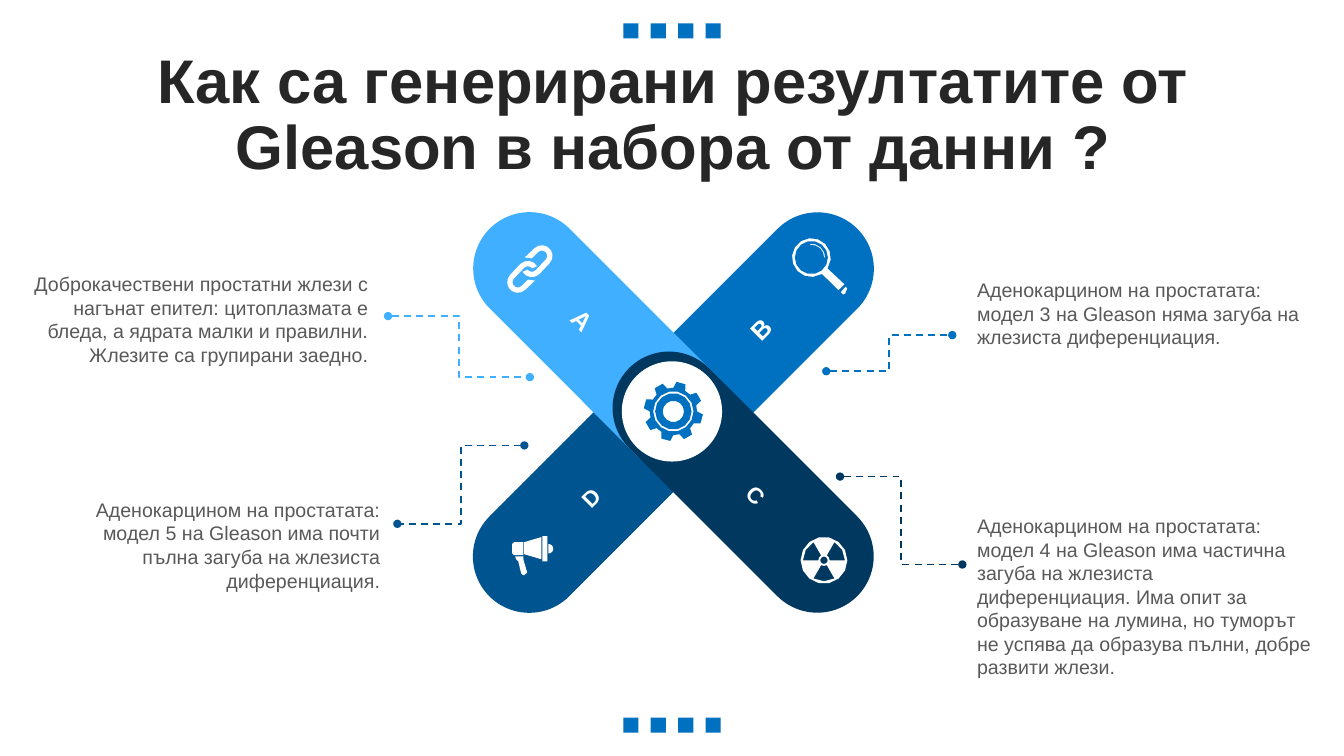
from dataclasses import dataclass
from math import cos, radians, sin

from lxml.etree import SubElement
from pptx import Presentation
from pptx.dml.color import RGBColor
from pptx.enum.dml import MSO_LINE
from pptx.enum.shapes import MSO_CONNECTOR, MSO_SHAPE as Shape
from pptx.enum.text import MSO_ANCHOR, MSO_AUTO_SIZE as Fit, PP_ALIGN as Align
from pptx.oxml.ns import qn
from pptx.util import Pt

Point = tuple[float, float]
Contour = list[Point]


@dataclass(frozen=True)
class Theme:
    font: str = "Arial"
    title: str = "262626"
    text: str = "595959"
    white: str = "FFFFFF"
    light: str = "40AFFF"
    blue: str = "0070C0"
    deep: str = "005490"
    navy: str = "003860"
    title_size: float = 44
    text_size: float = 14
    line_width: float = 1.25


@dataclass(frozen=True)
class Box:
    x: float
    y: float
    w: float
    h: float
    rot: float = 0


@dataclass(frozen=True)
class Arm:
    letter: str
    letter_size: float
    color: str
    bar: Box
    label: Box
    text: str
    text_box: Box
    align: Align
    start: Point
    end: Point


@dataclass(frozen=True)
class Icon:
    center: Point
    color: str
    contours: list[Contour]
    outline: str | None = None


T = Theme()
ARMS = [
    Arm("B", 18, T.blue, Box(493.2, 130.8, 80.6, 223.2, 45), Box(492.5, 220.3, 101.5, 28.8, 315),
        "Аденокарцином на простатата: модел 3 на Gleason няма загуба на жлезиста диференциация.",
        Box(690.8, 195.1, 253.4, 58.3), Align.LEFT, (590.2, 265.2), (680.2, 239.4)),
    Arm("D", 16, T.deep, Box(388.2, 235.4, 80.6, 223.2, 225), Box(378.7, 342, 86.4, 26.6, 315),
        "Аденокарцином на простатата: модел 5 на Gleason има почти пълна загуба на жлезиста "
        "диференциация.",
        Box(24.5, 352.1, 254.2, 74.9), Align.RIGHT, (374.6, 318.2), (283.9, 374.2)),
    Arm("A", 18, T.light, Box(391, 129.6, 80.6, 230.4, 315), Box(369.1, 213.8, 94.3, 28.8, 45),
        "Доброкачествени простатни жлези с нагънат епител: цитоплазмата е бледа, а ядрата малки "
        "и правилни. Жлезите са групирани заедно.",
        Box(16, 190.8, 254.2, 74.9), Align.RIGHT, (277.2, 225.8), (378.5, 269.4)),
    Arm("C", 16, T.navy, Box(490.5, 229.2, 80.6, 230.4, 135), Box(488.2, 340.6, 103.7, 26.6, 45),
        "Аденокарцином на простатата: модел 4 на Gleason има частична загуба на жлезиста "
        "диференциация. Има опит за образуване на лумина, но туморът не успява да образува "
        "пълни, добре развити жлези.",
        Box(690.8, 363.6, 253.4, 108.7), Align.LEFT, (600, 340.4), (687.4, 403.2)),
]


def arc(r: float, a0: float, a1: float, cx: float = 0, cy: float = 0) -> Contour:
    n = max(1, round(abs(a1 - a0) / 26))
    angles = [radians(a0 + (a1 - a0) * i / n) for i in range(n + 1)]
    return [(cx + r * cos(a), cy + r * sin(a)) for a in angles]


def circle(r: float) -> Contour:
    return arc(r, 0, 360)[:-1]


def gear() -> list[Contour]:
    rim: Contour = []
    for i in range(8):
        a = -75 + 45 * i
        rim += arc(16.9, a - 30, a - 15) + arc(21.2, a - 9, a + 9)
    return [rim] + [circle(r) for r in (14.4, 13, 7.6)]


def chain() -> list[Contour]:
    link = (arc(7.6, -135, 45, 8.6, -9.4) + arc(7.6, 45, 150, 1.4, -1.8) + [(-1.4, 0.4)]
            + arc(3.8, 135, 45, 1.4, -1.8) + arc(3.8, 45, -135, 8.6, -9.4)
            + [(1.4, -7.6), (-3.6, -8.3)])
    return [link, [(-x, -y) for x, y in link]]


def radiation() -> list[Contour]:
    blades = [arc(15, a, a + 60) + arc(4, a + 60, a) for a in (-60, 60, 180)]
    return [circle(16.7), circle(2.6)] + blades


def magnifier() -> list[Contour]:
    lens = arc(14.4, 59, 392) + [(24.5, 19.1), (19.4, 24.1)]
    tip = [(24.5, 19.8), (26.3, 22), (24.5, 26.3), (22.5, 27), (20.2, 24.8)]
    return [lens, circle(11.3), arc(10.4, -98, 2) + arc(8.6, 2, -98), tip]


def megaphone() -> list[Contour]:
    handle = [(-12.6, 0.4), (-6.8, 0.4), (-6.8, 2.5), (-4, 11.9), (-5.4, 13.3), (-6.8, 14),
              (-8.3, 12.6), (-10.4, 4), (-11.9, 2.5)]
    grip = [(-13.3, -9.7), (-6.8, -9.7), (-6.8, -0.4), (-13.3, -0.4), (-14.8, -1.8), (-14.8, -8.3)]
    horn = [(6.1, -13.3), (6.1, 2.5), (-6.1, -1.1), (-6.1, -9.7)]
    rim = [(6.8, -14), (10.4, -14), (10.4, 4), (6.8, 4)]
    return [handle, grip, horn, rim, arc(3.4, -90, 90, 11.2, -5)]


def paint(sp, color: str, outline: str | None = None) -> None:
    sp.shadow.inherit = False
    sp.fill.solid()
    sp.fill.fore_color.rgb = RGBColor.from_string(color)
    if outline:
        sp.line.color.rgb = RGBColor.from_string(outline)
        sp.line.width = Pt(1)
    else:
        sp.line.fill.background()


def add_shape(parent, kind: Shape, box: Box, color: str):
    sp = parent.shapes.add_shape(kind, Pt(box.x), Pt(box.y), Pt(box.w), Pt(box.h))
    sp.rotation = box.rot
    paint(sp, color)
    return sp


def add_master_squares(prs, s, y: float, first_id: int) -> None:
    grp = s.shapes.add_group_shape()
    for i in range(4):
        add_shape(grp, Shape.RECTANGLE, Box(445.2 + 19.6 * i, y, 10.8, 10.8), T.blue)
    for n, props in enumerate(grp.element.iter(qn("p:cNvPr")), first_id):
        props.set("id", str(n))
    prs.slide_master.shapes.element.append(grp.element)


def add_icon(s, icon: Icon) -> None:
    cx, cy = icon.center
    contours = [[(Pt(cx + x), Pt(cy + y)) for x, y in c] for c in icon.contours]
    fb = s.shapes.build_freeform(*contours[0][0], scale=1.0)
    for i, contour in enumerate(contours):
        if i:
            fb.move_to(*contour[0])
        fb.add_line_segments(contour[1:], close=True)
    paint(fb.convert_to_shape(), icon.color, icon.outline)


def write(tf, text: str, size: float, color: str, align: Align, bold: bool = False):
    tf.word_wrap = True
    p = tf.paragraphs[0]
    p.text = text
    p.alignment = align
    p.font.name, p.font.size, p.font.bold = T.font, Pt(size), bold
    p.font.color.rgb = RGBColor.from_string(color)
    return p


def add_text(s, box: Box, text: str, size: float, color: str, align: Align, bold: bool = False) -> None:
    sp = s.shapes.add_textbox(Pt(box.x), Pt(box.y), Pt(box.w), Pt(box.h))
    sp.rotation = box.rot
    write(sp.text_frame, text, size, color, align, bold)
    sp.text_frame.auto_size = Fit.SHAPE_TO_FIT_TEXT


def add_leader(s, arm: Arm) -> None:
    cn = s.shapes.add_connector(MSO_CONNECTOR.ELBOW, *map(Pt, arm.start + arm.end))
    cn.line.color.rgb = RGBColor.from_string(arm.color)
    cn.line.width = Pt(T.line_width)
    cn.line.dash_style = MSO_LINE.DASH
    ln = cn.element.spPr.find(qn("a:ln"))
    for tag in ("a:headEnd", "a:tailEnd"):
        SubElement(ln, qn(tag), type="oval")
    SubElement(cn.element.spPr, qn("a:effectLst"))


def add_title(s, box: Box, text: str) -> None:
    sp = s.shapes.title
    sp.left, sp.top, sp.width, sp.height = Pt(box.x), Pt(box.y), Pt(box.w), Pt(box.h)
    p = write(sp.text_frame, text, T.title_size, T.title, Align.CENTER, True)
    p.line_spacing, p.space_before = 0.9, Pt(10)
    sp.text_frame.vertical_anchor = MSO_ANCHOR.MIDDLE
    sp.text_frame.auto_size = Fit.NONE


def main() -> None:
    prs = Presentation()
    prs.slide_width, prs.slide_height = Pt(960), Pt(540)
    s = prs.slides.add_slide(prs.slide_layouts[5])
    for y, first_id in ((16.6, 20), (512.6, 30)):
        add_master_squares(prs, s, y, first_id)
    add_title(s, Box(25.4, 54.7, 911.5, 56.9), "Как са генерирани резултатите от Gleason в набора от данни ?")
    for arm in ARMS:
        add_shape(s, Shape.ROUNDED_RECTANGLE, arm.bar, arm.color).adjustments[0] = 0.5
    add_shape(s, Shape.OVAL, Box(444.2, 258.1, 71.6, 71.6), T.white)
    for arm in ARMS:
        add_text(s, arm.text_box, arm.text, T.text_size, T.text, arm.align)
        add_leader(s, arm)
        add_text(s, arm.label, arm.letter, arm.letter_size, T.white, Align.CENTER, True)
    for icon in (Icon((481, 293.9), T.blue, gear()), Icon((378.5, 192.2), T.white, chain()),
                 Icon((588.6, 400.2), T.white, radiation()),
                 Icon((380.6, 397), T.white, megaphone()),
                 Icon((579.6, 184), T.white, magnifier(), T.blue)):
        add_icon(s, icon)
    prs.save("out.pptx")


if __name__ == "__main__":
    main()
